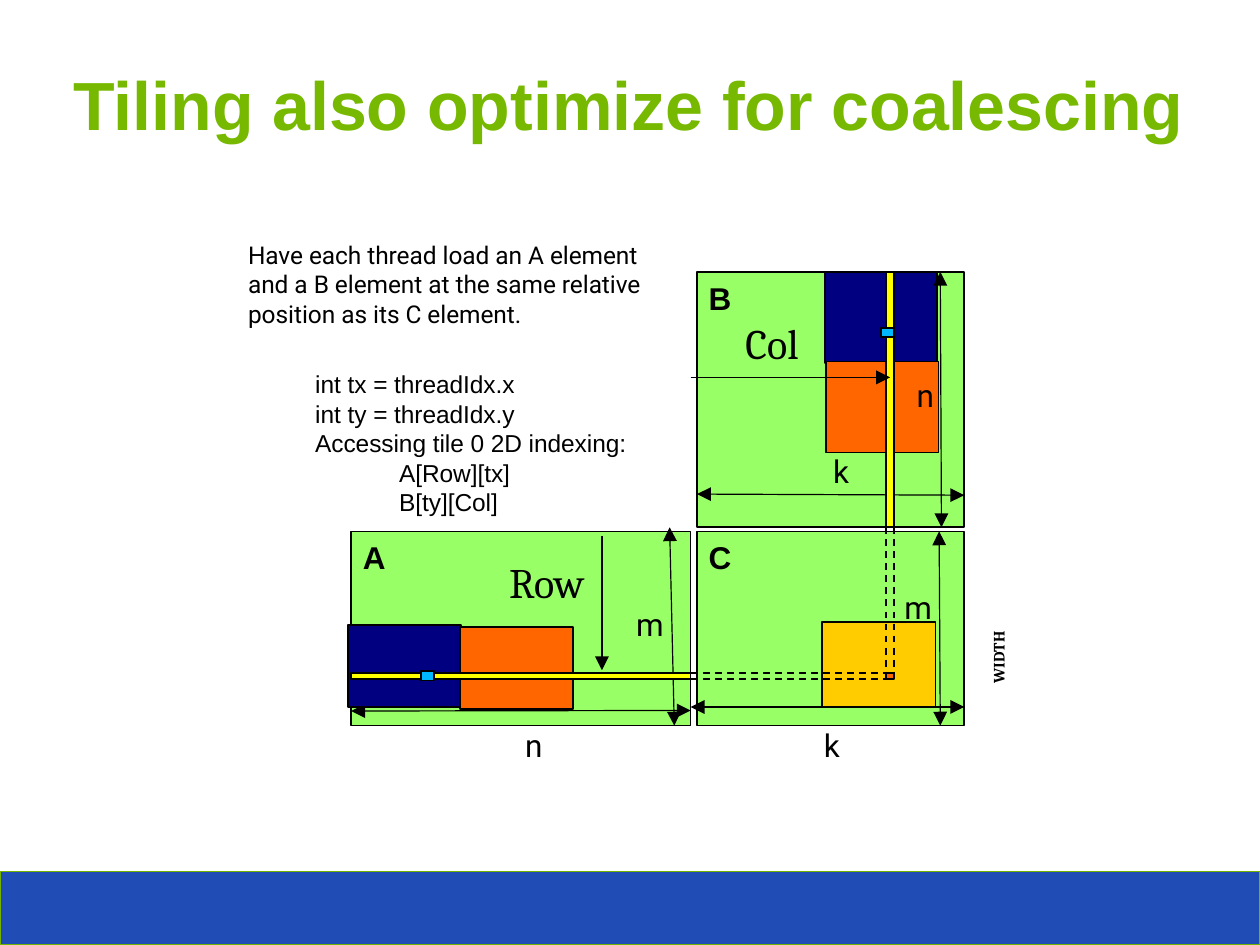
import pptx
import pptx.dml.color
import pptx.enum.dml
import pptx.enum.shapes
import pptx.enum.text
import pptx.oxml.ns
import pptx.util
from lxml import etree

Pt = pptx.util.Pt
RGB = pptx.dml.color.RGBColor
ALIGN = pptx.enum.text.PP_ALIGN

BLACK = RGB(0x00, 0x00, 0x00)
TITLE_GREEN = RGB(0x76, 0xB9, 0x00)
EDGE_GREEN = RGB(0x72, 0xB4, 0x00)
FOOTER_BLUE = RGB(0x20, 0x4D, 0xB5)
MATRIX_GREEN = RGB(0x99, 0xFF, 0x66)
NAVY = RGB(0x00, 0x00, 0x80)
ORANGE = RGB(0xFF, 0x66, 0x00)
GOLD = RGB(0xFF, 0xCC, 0x00)
YELLOW = RGB(0xFF, 0xFF, 0x00)
CYAN = RGB(0x00, 0xB8, 0xFF)

LABEL_INSETS = (5, 3, 5, 3)
BOX_INSETS = (7.2, 3.6, 7.2, 3.6)


class TilingSlide:
    LEADING = 1.2
    EDGE = 0.75
    DIMENSION = 0.5

    def __init__(self, deck):
        self.slide = deck.slides.add_slide(deck.slide_layouts[6])
        self.shapes = self.slide.shapes

    def fill_text(self, frame, text, size, font, color=BLACK, bold=False,
                  insets=BOX_INSETS, align=ALIGN.LEFT, wrap=False):
        frame.text = text
        frame.word_wrap = wrap
        frame.vertical_anchor = pptx.enum.text.MSO_ANCHOR.TOP
        (frame.margin_left, frame.margin_top,
         frame.margin_right, frame.margin_bottom) = map(Pt, insets)
        for paragraph in frame.paragraphs:
            paragraph.alignment = align
            paragraph.line_spacing = Pt(size * self.LEADING)
            for run in paragraph.runs:
                run.font.size = Pt(size)
                run.font.name = font
                run.font.bold = bold
                run.font.color.rgb = color

    def text(self, box, text, size, font, rotation=0, **style):
        label = self.shapes.add_textbox(*map(Pt, box))
        label.rotation = rotation
        self.fill_text(label.text_frame, text, size, font, **style)

    def block(self, box, fill, edge=BLACK):
        rect = self.shapes.add_shape(
            pptx.enum.shapes.MSO_SHAPE.RECTANGLE, *map(Pt, box))
        rect.shadow.inherit = False
        rect.fill.solid()
        rect.fill.fore_color.rgb = fill
        rect.line.color.rgb = edge
        rect.line.width = Pt(self.EDGE)
        return rect

    def matrix(self, name, box):
        self.fill_text(self.block(box, MATRIX_GREEN).text_frame, name, 13.5,
                       "Arial", bold=True, insets=LABEL_INSETS, wrap=True)

    def line(self, start, end, width=EDGE, dashed=False, arrows=()):
        """Draw a line; arrows lists the ends ("headEnd", "tailEnd") to point."""
        link = self.shapes.add_connector(
            pptx.enum.shapes.MSO_CONNECTOR.STRAIGHT, *map(Pt, start + end))
        link.line.color.rgb = BLACK
        link.line.width = Pt(width)
        if dashed:
            link.line.dash_style = pptx.enum.dml.MSO_LINE.DASH
        qn = pptx.oxml.ns.qn
        properties = link.element.spPr
        for arrow in arrows:
            etree.SubElement(properties.find(qn("a:ln")), qn("a:" + arrow),
                             type="triangle")
        etree.SubElement(properties, qn("a:effectLst"))

    def dimension(self, start, end):
        self.line(start, end, self.DIMENSION, arrows=("headEnd", "tailEnd"))

    def pointer(self, start, end):
        self.line(start, end, arrows=("tailEnd",))


def main():
    deck = pptx.Presentation()
    deck.slide_width, deck.slide_height = Pt(540), Pt(405)
    page = TilingSlide(deck)

    page.block((0, 373.5, 540, 31.5), FOOTER_BLUE, EDGE_GREEN)
    page.text((24.5, 23, 515.5, 78.5), "Tiling also optimize for coalescing",
              29.2, "Arial", color=TITLE_GREEN, bold=True, wrap=True,
              insets=(7.2, 3.6, 30, 3.6))

    # Matrices, with the result tile in C
    a_left, a_right, c_left, c_right = 150.5, 296, 298.75, 413.25
    b_top, b_bottom, c_top, c_bottom = 116.5, 226, 227.75, 311
    c_width, c_height = c_right - c_left, c_bottom - c_top
    page.matrix("A", (a_left, c_top, a_right - a_left, c_height))
    page.matrix("B", (c_left, b_top, c_width, b_bottom - b_top))
    page.block((353.5, b_top, 48.25, 39), NAVY)
    page.matrix("C", (c_left, c_top, c_width, c_height))
    page.block((352.25, 266.5, 48.75, 36.5), GOLD)

    # Projection of the row and the column onto the C element
    column_left, column_right, row_top, row_bottom = 379.75, 383, 288.5, 291
    page.line((column_right, b_bottom), (column_right, row_top), dashed=True)
    page.line((column_left, b_bottom), (column_left, row_top), dashed=True)
    page.dimension((c_right, 303), (a_right, 303))
    page.block((column_left, row_top, column_right - column_left,
                row_bottom - row_top), ORANGE)
    for y in (row_top, row_bottom):
        page.line((a_right, y), (column_left, y), dashed=True)

    # Dimensions and labels
    page.dimension((403.5, b_bottom), (403, b_top))
    page.dimension((403, c_bottom), (402.5, c_top))
    page.dimension((a_right, 304.5), (a_left, 304.75))
    page.text((415.5, 277.75, 24.5, 8), "WIDTH", 6.8, "Cambria", rotation=270,
              bold=True, insets=(0, 0, 0, 0), align=ALIGN.CENTER)
    page.pointer((258, 229.75), (258, 287.25))
    page.text((213.25, 235.5, 45, 27.5), "Row", 18, "Cambria",
              insets=LABEL_INSETS)
    page.text((314.5, 133.25, 37, 27.5), "Col", 18, "Cambria",
              insets=LABEL_INSETS)
    page.dimension((289, c_bottom), (287, b_bottom))
    page.block((354, 155, 48.25, 39), ORANGE)
    for name, left, top, width in (
            ("n", 218, 307.5, 22.5), ("m", 265.5, 255.75, 26),
            ("n", 385.75, 157.5, 22.5), ("k", 350, 190.25, 21.5),
            ("k", 346, 307.75, 21.5), ("m", 380.5, 248.5, 26)):
        page.text((left, top, width, 23.75), name, 13.5, "Roboto")
    page.text((128, 154.75, 150.5, 70.5),
              "int tx = threadIdx.x\n"
              "int ty = threadIdx.y\n"
              "Accessing tile 0 2D indexing:\n"
              "\tA[Row][tx]\n"
              "\tB[ty][Col]", 10.5, "Arial")
    page.dimension((c_right, 212.25), (c_left, 211.75))

    # Column of B, tiles and row of A, and the loaded elements
    page.block((column_left, b_top, column_right - column_left,
                b_bottom - b_top), YELLOW)
    page.block((149.25, 267.75, 48.25, 35.25), NAVY)
    page.block((197.25, 268.75, 48.25, 35.25), ORANGE)
    page.block((a_left, row_top, a_right - a_left, row_bottom - row_top),
               YELLOW)
    page.pointer((a_right, 161.75), (381.5, 161.75))
    page.block((377.5, 140.5, 5.5, 4), CYAN)
    page.text((99.25, 99.25, 195, 45.5),
              "Have each thread load an A element\n"
              "and a B element at the same relative\n"
              "position as its C element.", 10.5, "Roboto")
    page.block((180.5, 287.5, 5.5, 4.25), CYAN)

    deck.save("out.pptx")


if __name__ == "__main__":
    main()
